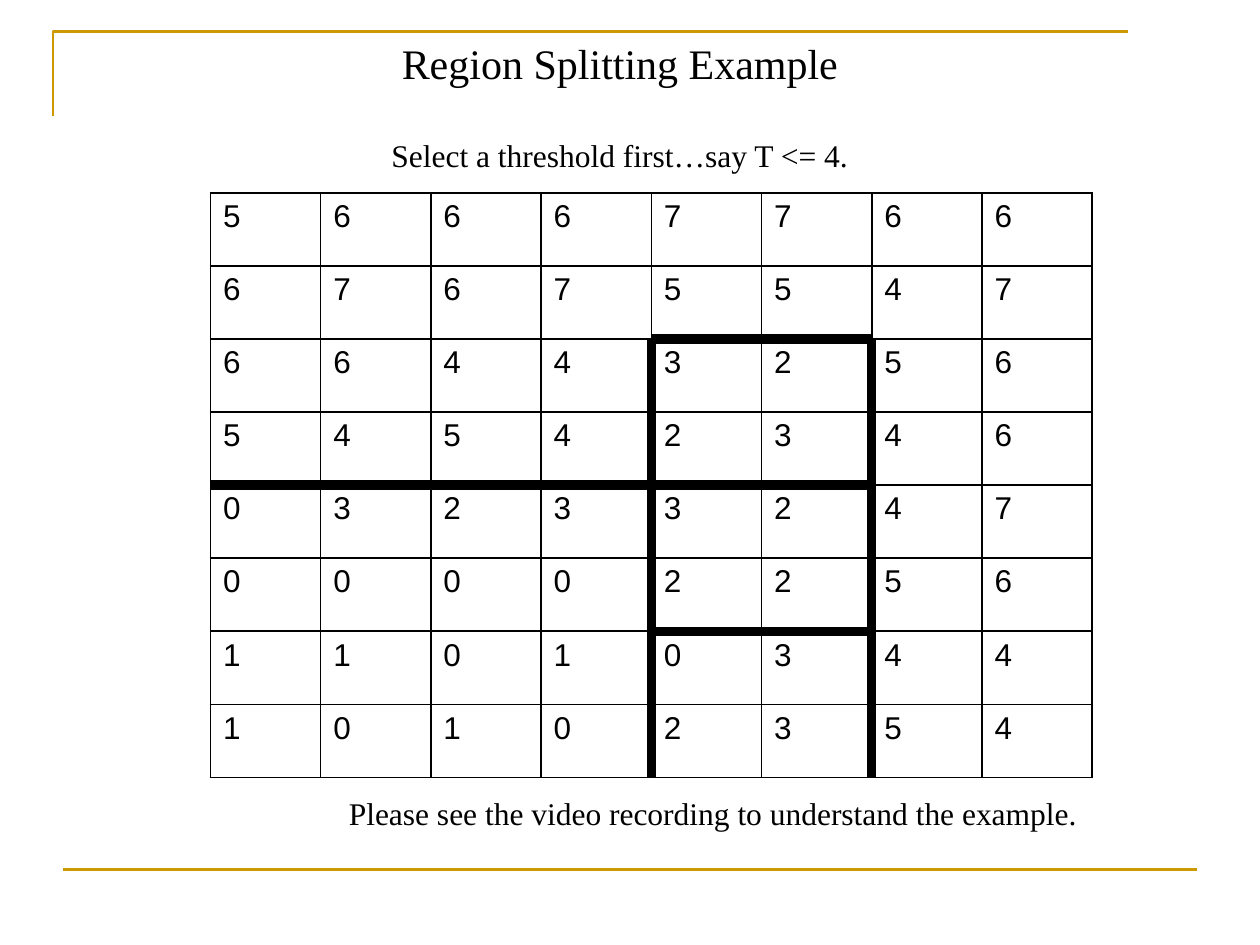
from lxml import etree
from pptx import Presentation
from pptx.dml.color import RGBColor
from pptx.enum import shapes, text
from pptx.oxml.ns import qn
from pptx.util import Inches, Pt

COLORS = {"gold": "CC9900", "black": "000000"}
SERIF, SANS = "Times New Roman", "Arial"
THIN, THICK = 1, 6

PIXELS = [
    "56667766",
    "67675547",
    "66443256",
    "54542346",
    "03233247",
    "00002256",
    "11010344",
    "10102354",
]
# Region borders: grid line index -> the cells it runs along
THICK_ROW_LINES = {2: range(4, 6), 4: range(6), 6: range(4, 6)}
THICK_COLUMN_LINES = {4: range(2, 8), 6: range(2, 8)}


def color(name):
    return RGBColor.from_string(COLORS[name])


def write(paragraph, content, size=18, font=SERIF, align=None, before=None):
    paragraph.alignment = align
    if before is not None:
        paragraph.space_before = Pt(before)
    run = paragraph.add_run()
    run.text = content
    run.font.size = Pt(size)
    run.font.name = font
    run.font.color.rgb = color("black")


def add_text_frame(slide, left, top, width, height):
    box = slide.shapes.add_textbox(Inches(left), Inches(top), Inches(width), Inches(height))
    box.text_frame.word_wrap = True
    return box.text_frame


def set_gold_line(shape):
    shape.line.color.rgb = color("gold")
    shape.line.width = Pt(1.5)


def add_frame_lines(slide):
    builder = slide.shapes.build_freeform(Inches(0.42), Inches(0.92))
    corner_points = [(Inches(0.42), Inches(0.25)), (Inches(8.95), Inches(0.25))]
    builder.add_line_segments(corner_points, close=False)
    corner = builder.convert_to_shape()
    corner.shadow.inherit = False
    corner.fill.background()
    set_gold_line(corner)

    footer = slide.shapes.add_connector(
        shapes.MSO_CONNECTOR.STRAIGHT, Inches(0.5), Inches(6.9), Inches(9.5), Inches(6.9)
    )
    set_gold_line(footer)
    etree.SubElement(footer._element.spPr, qn("a:effectLst"))


def line_width(thick_lines, line, position):
    return THICK if position in thick_lines.get(line, ()) else THIN


def set_borders(cell, row, column):
    widths = {
        "a:lnL": line_width(THICK_COLUMN_LINES, column, row),
        "a:lnR": line_width(THICK_COLUMN_LINES, column + 1, row),
        "a:lnT": line_width(THICK_ROW_LINES, row, column),
        "a:lnB": line_width(THICK_ROW_LINES, row + 1, column),
    }
    properties = cell._tc.get_or_add_tcPr()
    for tag, width in widths.items():
        border = etree.SubElement(properties, qn(tag), w=str(Pt(width)))
        fill = etree.SubElement(border, qn("a:solidFill"))
        etree.SubElement(fill, qn("a:srgbClr"), val=COLORS["black"])


def add_pixel_table(slide):
    size = len(PIXELS)
    table = slide.shapes.add_table(
        size, size, Inches(1.67), Inches(1.53), Inches(7), Inches(4.64)
    ).table
    table.first_row = table.horz_banding = False
    for row, values in enumerate(PIXELS):
        for column, value in enumerate(values):
            cell = table.cell(row, column)
            write(cell.text_frame.paragraphs[0], value, font=SANS)
            set_borders(cell, row, column)
            cell.fill.background()


def add_heading(slide):
    frame = add_text_frame(slide, 0.92, 0.25, 8, 1.24)
    center = text.PP_ALIGN.CENTER
    write(frame.paragraphs[0], "Region Splitting Example", size=24, align=center)
    write(frame.add_paragraph(), "Select a threshold first…say T <= 4.", align=center, before=27.6)


def add_caption(slide):
    frame = add_text_frame(slide, 2.67, 6.25, 6.83, 0.4)
    write(frame.paragraphs[0], "Please see the video recording to understand the example.")


def main():
    presentation = Presentation()
    presentation.slide_width = Inches(10)
    presentation.slide_height = Inches(7.5)
    slide = presentation.slides.add_slide(presentation.slide_layouts[6])
    add_frame_lines(slide)
    add_pixel_table(slide)
    add_heading(slide)
    add_caption(slide)
    presentation.save("out.pptx")


if __name__ == "__main__":
    main()
